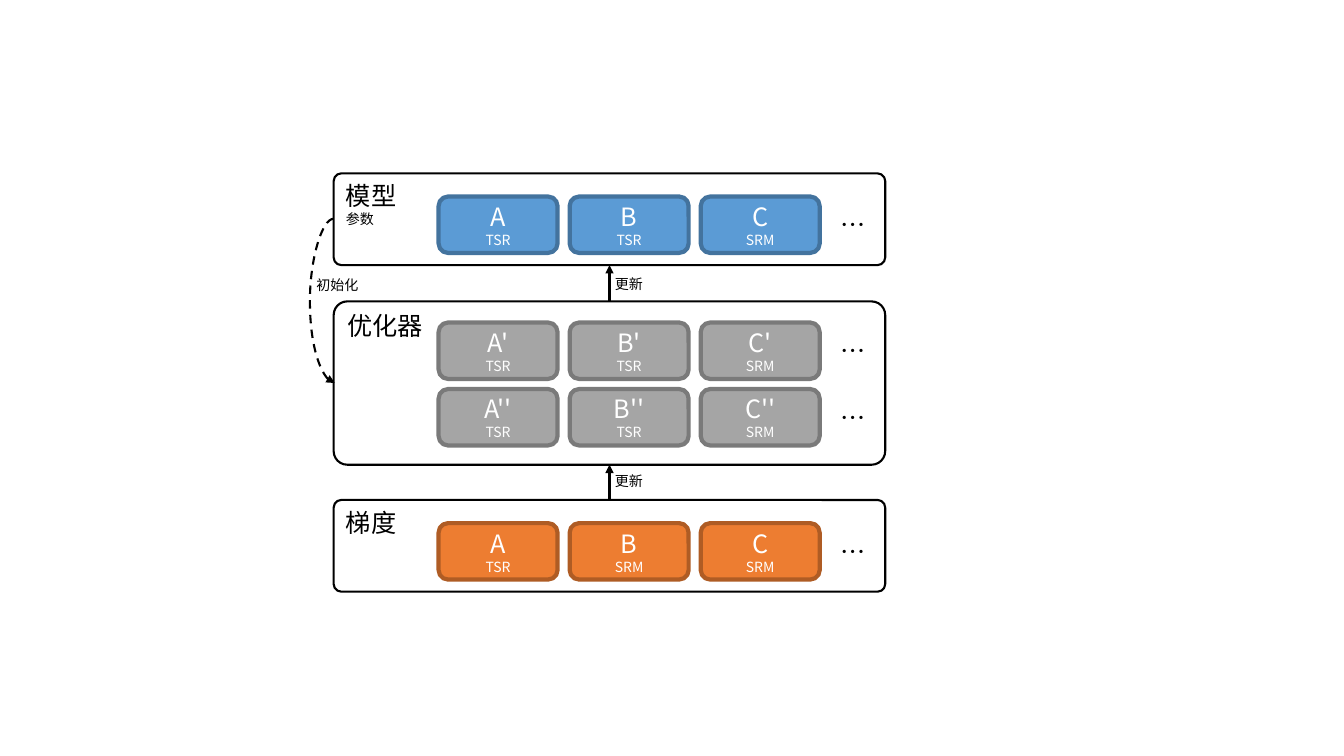
from dataclasses import dataclass

from lxml import etree
from pptx import Presentation
from pptx.dml.color import RGBColor
from pptx.enum import dml, shapes, text
from pptx.oxml import ns
from pptx.shapes.autoshape import Shape
from pptx.shapes.connector import Connector
from pptx.slide import Slide
from pptx.text.text import TextFrame
from pptx.util import Emu, Pt

PX = 9144
FONT = "Noto Sans CJK SC"
BLACK = RGBColor(0x00, 0x00, 0x00)
WHITE = RGBColor(0xFF, 0xFF, 0xFF)
BLUE = RGBColor(0x5B, 0x9B, 0xD5)
BLUE_EDGE = RGBColor(0x43, 0x73, 0x9E)
GRAY = RGBColor(0xA5, 0xA5, 0xA5)
GRAY_EDGE = RGBColor(0x7A, 0x7A, 0x7A)
ORANGE = RGBColor(0xED, 0x7D, 0x31)
ORANGE_EDGE = RGBColor(0xAF, 0x5C, 0x24)

TITLE_SIZE = 18
NOTE_SIZE = 10
PANEL_LEFT, PANEL_WIDTH = 331, 547
TENSOR_LEFT, TENSOR_PITCH = 435, 130
TENSOR_WIDTH, TENSOR_HEIGHT = 118, 56
ELLIPSIS_LEFT, ELLIPSIS_DROP = 824, 8


@dataclass(frozen=True)
class Panel:
    top: int
    height: int
    title: str
    note: str = ""


@dataclass(frozen=True)
class TensorRow:
    top: int
    fill: RGBColor
    edge: RGBColor
    mark: str
    kinds: tuple[str, str, str]


@dataclass(frozen=True)
class Label:
    left: int
    top: int
    width: int
    height: int
    words: str
    size: int


MODEL = Panel(172, 91, "模型", "参数")
OPTIMIZER = Panel(299, 162, "优化器")
GRADIENT = Panel(496, 91, "梯度")

TENSOR_ROWS = (
    TensorRow(195, BLUE, BLUE_EDGE, "", ("TSR", "TSR", "SRM")),
    TensorRow(320, GRAY, GRAY_EDGE, "'", ("TSR", "TSR", "SRM")),
    TensorRow(386, GRAY, GRAY_EDGE, "''", ("TSR", "TSR", "SRM")),
    TensorRow(519, ORANGE, ORANGE_EDGE, "", ("TSR", "SRM", "SRM")),
)

ARROW_LABELS = (
    Label(304, 269, 62, 27, "初始化", NOTE_SIZE),
    Label(600, 464, 48, 27, "更新", NOTE_SIZE),
    Label(600, 268, 48, 27, "更新", NOTE_SIZE),
)


def px(length: int) -> Emu:
    return Emu(length * PX)


def write_lines(frame: TextFrame, lines: list[tuple[str, int]], color: RGBColor,
                align: text.PP_ALIGN) -> None:
    for index, (words, size) in enumerate(lines):
        paragraph = frame.paragraphs[0] if index == 0 else frame.add_paragraph()
        paragraph.alignment = align
        run = paragraph.add_run()
        run.text = words
        run.font.size = Pt(size)
        run.font.color.rgb = color
        run.font.name = FONT
        east_asian = etree.SubElement(run.font._element, ns.qn("a:ea"))
        east_asian.set("typeface", FONT)


def add_rounded(slide: Slide, left: int, top: int, width: int, height: int,
                edge: RGBColor, weight: float) -> Shape:
    box = slide.shapes.add_shape(shapes.MSO_SHAPE.ROUNDED_RECTANGLE,
                                 px(left), px(top), px(width), px(height))
    box.shadow.inherit = False
    box.line.color.rgb = edge
    box.line.width = Pt(weight)
    return box


def add_panel(slide: Slide, panel: Panel) -> Shape:
    box = add_rounded(slide, PANEL_LEFT, panel.top, PANEL_WIDTH, panel.height, BLACK, 1.5)
    box.adjustments[0] = 0.083
    box.fill.background()
    box.text_frame.vertical_anchor = text.MSO_ANCHOR.TOP
    lines = [(panel.title, TITLE_SIZE)]
    if panel.note:
        lines.append((panel.note, NOTE_SIZE))
    write_lines(box.text_frame, lines, BLACK, text.PP_ALIGN.LEFT)
    return box


def add_label(slide: Slide, label: Label) -> None:
    box = slide.shapes.add_textbox(px(label.left), px(label.top),
                                   px(label.width), px(label.height))
    box.text_frame.word_wrap = False
    box.text_frame.auto_size = text.MSO_AUTO_SIZE.SHAPE_TO_FIT_TEXT
    write_lines(box.text_frame, [(label.words, label.size)], BLACK, text.PP_ALIGN.LEFT)


def add_tensor_row(slide: Slide, row: TensorRow) -> None:
    for column, (letter, kind) in enumerate(zip("ABC", row.kinds)):
        tensor = add_rounded(slide, TENSOR_LEFT + column * TENSOR_PITCH, row.top,
                             TENSOR_WIDTH, TENSOR_HEIGHT, row.edge, 3)
        tensor.fill.solid()
        tensor.fill.fore_color.rgb = row.fill
        tensor.text_frame.vertical_anchor = text.MSO_ANCHOR.MIDDLE
        write_lines(tensor.text_frame, [(letter + row.mark, TITLE_SIZE), (kind, NOTE_SIZE)],
                    WHITE, text.PP_ALIGN.CENTER)
    add_label(slide, Label(ELLIPSIS_LEFT, row.top + ELLIPSIS_DROP, 41, 40, "…", TITLE_SIZE))


def style_arrow(arrow: Connector) -> None:
    arrow.line.color.rgb = BLACK
    arrow.line.width = Pt(1.5)
    properties = arrow.element.spPr
    tip = etree.SubElement(properties.find(ns.qn("a:ln")), ns.qn("a:tailEnd"))
    tip.set("type", "triangle")
    etree.SubElement(properties, ns.qn("a:effectLst"))


def add_update(slide: Slide, lower: Shape, upper: Shape) -> None:
    update = slide.shapes.add_connector(shapes.MSO_CONNECTOR.STRAIGHT, 0, 0, 0, 0)
    update.begin_connect(lower, 0)
    update.end_connect(upper, 2)
    style_arrow(update)


def add_initialization(slide: Slide) -> None:
    curve = slide.shapes.add_connector(
        shapes.MSO_CONNECTOR.CURVE,
        px(PANEL_LEFT), px(MODEL.top + MODEL.height // 2),
        px(PANEL_LEFT + 1), px(OPTIMIZER.top + OPTIMIZER.height // 2))
    curve.line.dash_style = dml.MSO_LINE.DASH
    style_arrow(curve)
    guides = curve.element.spPr.find(ns.qn("a:prstGeom")).find(ns.qn("a:avLst"))
    bend = etree.SubElement(guides, ns.qn("a:gd"))
    bend.set("name", "adj1")
    bend.set("fmla", "val -2400000")


def main() -> None:
    deck = Presentation()
    deck.slide_width = px(1333)
    deck.slide_height = px(750)
    slide = deck.slides.add_slide(deck.slide_layouts[6])
    model, optimizer, gradient = (
        add_panel(slide, panel) for panel in (MODEL, OPTIMIZER, GRADIENT))
    for row in TENSOR_ROWS:
        add_tensor_row(slide, row)
    add_update(slide, gradient, optimizer)
    add_update(slide, optimizer, model)
    add_initialization(slide)
    for label in ARROW_LABELS:
        add_label(slide, label)
    deck.save("out.pptx")


if __name__ == "__main__":
    main()
